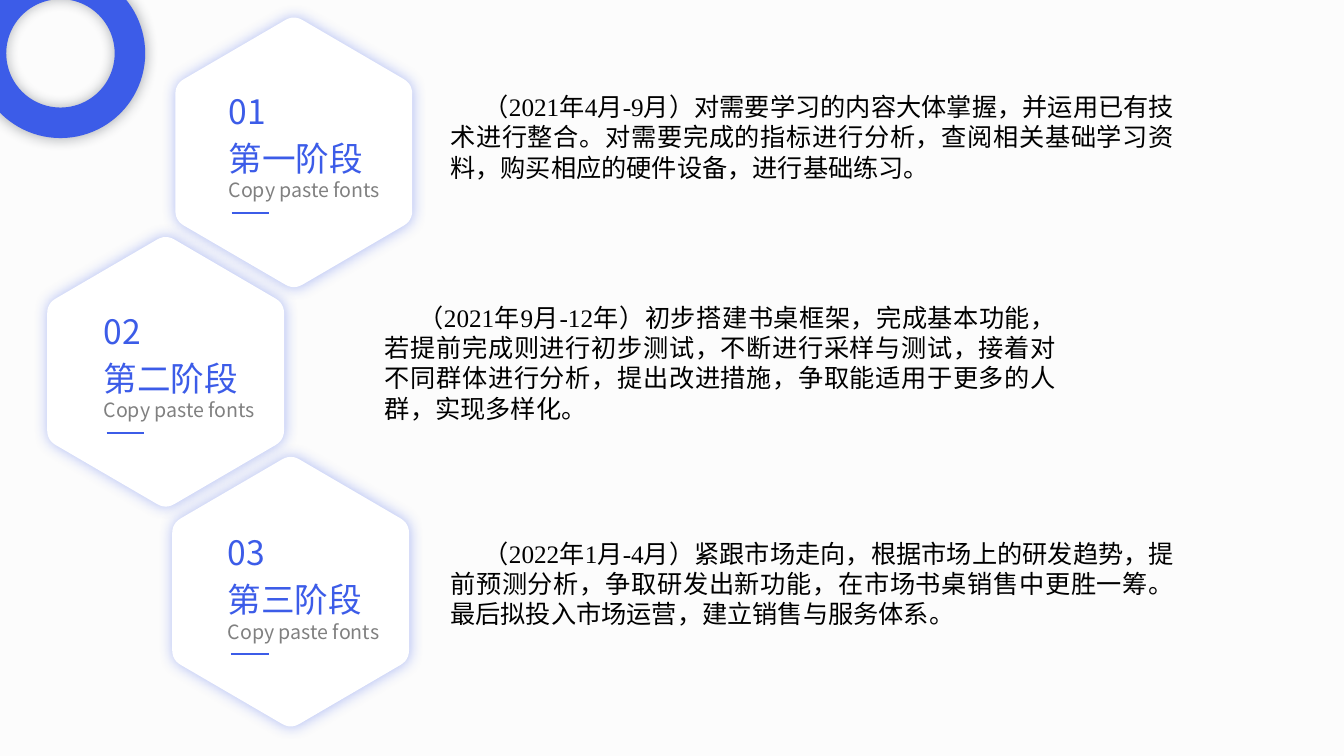
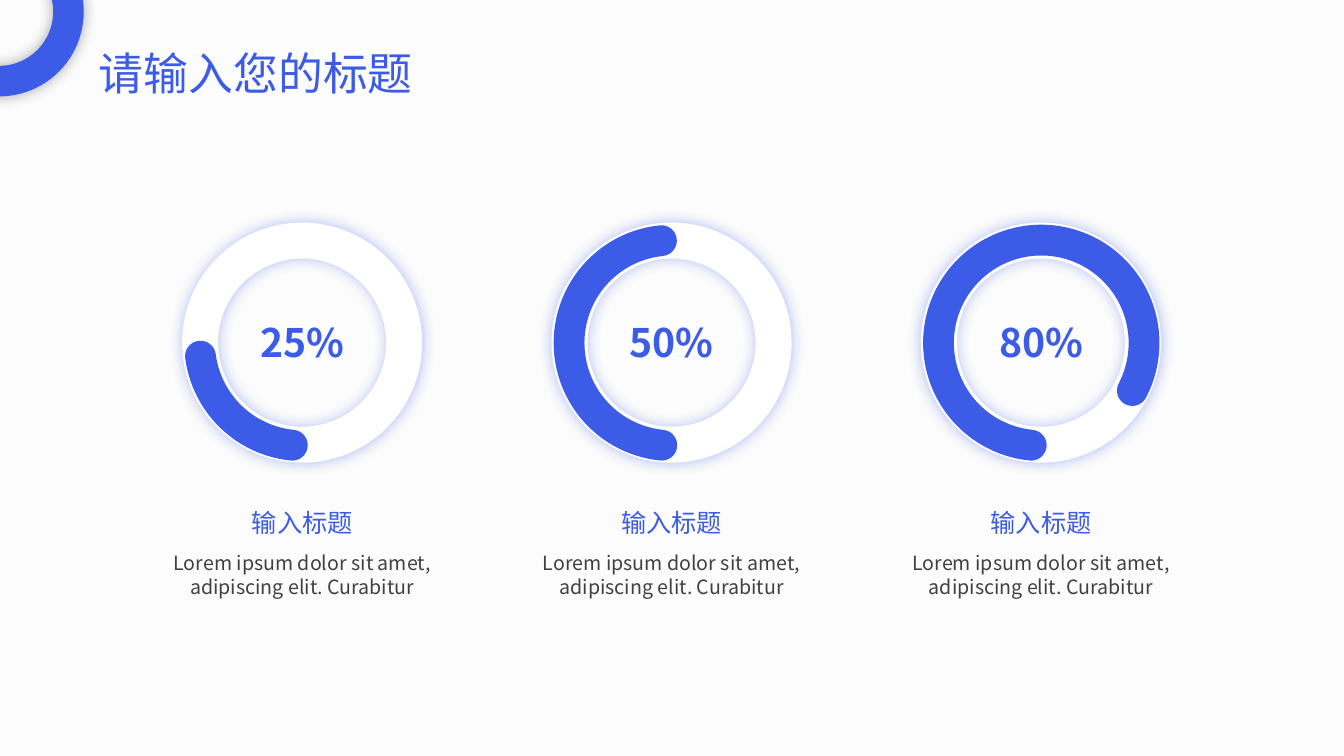
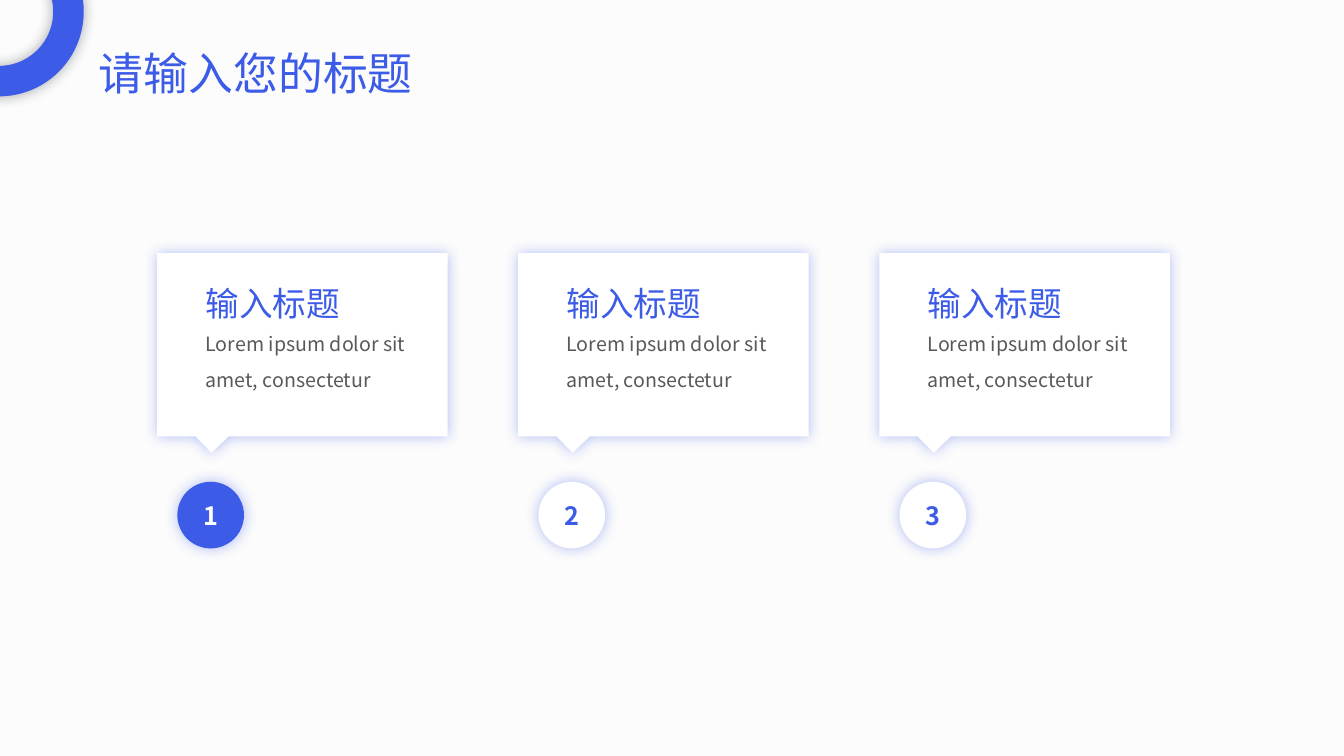
from dataclasses import dataclass

from lxml import etree
from pptx import Presentation
from pptx import util as u
from pptx.dml import color
from pptx.enum import shapes, text
from pptx.oxml import ns

Cm, Pt = u.Cm, u.Pt
SHAPE, ALIGN, ANCHOR = shapes.MSO_SHAPE, text.PP_ALIGN, text.MSO_ANCHOR

# Shared style
BLUE, WHITE, PAPER, SHADE = "3C5CE8", "FFFFFF", "FCFCFC", "222A35"
BLACK, DARK, SLATE, GREY = "000000", "404040", "595959", "808080"
SANS, SERIF = "Noto Sans CJK SC", "Times New Roman"
TITLE = "请输入您的标题"
LABEL = "输入标题"
RING = 4.27


@dataclass
class Style:
    size: float
    colour: str = BLUE
    font: str = SANS
    bold: bool = False
    align: ALIGN = ALIGN.LEFT


@dataclass
class Stage:
    number: str
    name: str
    hexagon: tuple[float, float]
    label: tuple[float, float]
    plan: str
    plan_box: tuple[float, float, float, float]


@dataclass
class Gauge:
    percent: str
    end: float


def rgb(value: str) -> color.RGBColor:
    return color.RGBColor.from_string(value)


def sub(parent, tag: str, **attributes: str):
    return etree.SubElement(parent, ns.qn(tag), attributes)


def paint(sp, fill: str, glow: str = BLUE) -> None:
    """Fill a shape without outline and give it a soft, centred shadow."""
    sp.fill.solid()
    sp.fill.fore_color.rgb = rgb(fill)
    sp.line.fill.background()
    sp.shadow.inherit = False
    effects = sp._element.spPr.find(ns.qn("a:effectLst"))
    shadow = sub(effects, "a:outerShdw", blurRad=str(Pt(10)), dist="0",
                 dir="0", algn="ctr", rotWithShape="0")
    sub(sub(shadow, "a:srgbClr", val=glow), "a:alpha", val="40000")


def add_shape(s, kind: SHAPE, left: float, top: float, size: float):
    return s.shapes.add_shape(kind, Cm(left), Cm(top), Cm(size), Cm(size))


def add_outline(s, left: float, top: float, points: list):
    corners = [(Cm(left + x), Cm(top + y)) for x, y in points]
    builder = s.shapes.build_freeform(*corners[0])
    builder.add_line_segments(corners[1:], close=True)
    return builder.convert_to_shape()


def write(tf, lines: list[str], style: Style) -> None:
    tf.word_wrap = True
    for i, line in enumerate(lines):
        p = tf.add_paragraph() if i else tf.paragraphs[0]
        p.text = line
        p.alignment = style.align
        p.font.size, p.font.bold = Pt(style.size), style.bold
        p.font.name = style.font
        p.font.color.rgb = rgb(style.colour)
        sub(p.font._element, "a:ea", typeface=SANS)


def add_text(s, box: tuple, lines: list[str], style: Style):
    tf = s.shapes.add_textbox(*map(Cm, box)).text_frame
    write(tf, lines, style)
    return tf


def add_ring(s, left: float, top: float) -> None:
    ring = add_shape(s, SHAPE.DONUT, left, top, RING)
    ring.adjustments[0] = 0.18
    paint(ring, BLUE, SHADE)


def titled_slide(prs):
    s = prs.slides.add_slide(prs.slide_layouts[5])
    add_ring(s, -2.16, -1.84)
    title = s.shapes.title
    title.left, title.top, title.width, title.height = map(Cm, (2.24, 1.02, 11.73, 1.63))
    tf = title.text_frame
    tf.auto_size, tf.vertical_anchor = text.MSO_AUTO_SIZE.NONE, ANCHOR.TOP
    write(tf, [TITLE], Style(32))
    return s


def rounded(vertices: list, radius: float, steps: int = 6) -> list:
    """Replace each corner of a polygon by a short quadratic curve."""
    points = []
    for i, (x, y) in enumerate(vertices):
        ends = []
        for nx, ny in (vertices[i - 1], vertices[(i + 1) % len(vertices)]):
            k = radius / ((nx - x) ** 2 + (ny - y) ** 2) ** 0.5
            ends.append((x + k * (nx - x), y + k * (ny - y)))
        (ax, ay), (bx, by) = ends
        for step in range(steps + 1):
            t = step / steps
            a, c, b = (1 - t) ** 2, 2 * t * (1 - t), t ** 2
            points.append((a * ax + c * x + b * bx, a * ay + c * y + b * by))
    return points


HEXAGON = rounded([(2.99, -0.08), (5.97, 1.66), (5.97, 5.1),
                   (2.99, 6.84), (0, 5.1), (0, 1.66)], 0.25)
CARD = [(0, 0), (7.32, 0), (7.32, 4.62), (1.8, 4.62),
        (1.37, 5.03), (0.97, 4.62), (0, 4.62)]

STAGES = [
    Stage("01", "第一阶段", (4.42, 0.46), (5.51, 2.16),
          "（2021年4月-9月）对需要学习的内容大体掌握，并运用已有技术进行整合。"
          "对需要完成的指标进行分析，查阅相关基础学习资料，购买相应的硬件设备，"
          "进行基础练习。", (11.1, 2.18, 18.75, 2.6)),
    Stage("02", "第二阶段", (1.19, 5.99), (2.36, 7.7),
          "（2021年9月-12年）初步搭建书桌框架，完成基本功能，若提前完成则进行初步测试，"
          "不断进行采样与测试，接着对不同群体进行分析，提出改进措施，"
          "争取能适用于更多的人群，实现多样化。", (9.45, 7.49, 17.42, 3.33)),
    Stage("03", "第三阶段", (4.34, 11.53), (5.49, 13.28),
          "（2022年1月-4月）紧跟市场走向，根据市场上的研发趋势，提前预测分析，"
          "争取研发出新功能，在市场书桌销售中更胜一筹。最后拟投入市场运营，"
          "建立销售与服务体系。", (11.1, 13.44, 18.75, 2.6)),
]
GAUGES = [Gauge("25%", 352.6), Gauge("50%", 84.2), Gauge("80%", 207.6)]


def draw_stage(s, stage: Stage) -> None:
    paint(add_outline(s, *stage.hexagon, HEXAGON), WHITE)
    left, top = stage.label
    for line, dy, style in ((stage.number, 0, Style(24)),
                            (stage.name, 1.19, Style(24)),
                            ("Copy paste fonts", 2.21, Style(14, GREY))):
        add_text(s, (left, top + dy, 4.95, 1.27), [line], style)
    y = Cm(top + 3.2)
    rule = s.shapes.add_connector(shapes.MSO_CONNECTOR.STRAIGHT,
                                  Cm(left + 0.33), y, Cm(left + 1.28), y)
    rule.line.color.rgb, rule.line.width = rgb(BLUE), Pt(1.5)
    sub(rule._element.spPr, "a:effectLst")
    tf = add_text(s, stage.plan_box, [stage.plan],
                  Style(18, BLACK, SERIF, align=ALIGN.JUSTIFY))
    tf.paragraphs[0]._p.get_or_add_pPr().set("indent", str(Cm(0.84)))


def draw_gauge(s, gauge: Gauge, centre: float) -> None:
    track = add_shape(s, SHAPE.DONUT, centre - 3.03, 5.61, 6.05)
    track.adjustments[0] = 0.15
    paint(track, WHITE)
    arc = add_shape(s, SHAPE.ARC, centre - 2.59, 6.05, 5.18)
    arc.rotation = 180
    for i, degrees in enumerate((275.6, gauge.end)):
        arc.adjustments[i] = degrees * 0.6
    arc.fill.background()
    arc.line.color.rgb, arc.line.width = rgb(BLUE), Pt(22)
    arc.line._get_or_add_ln().set("cap", "rnd")
    arc.shadow.inherit = False
    for lines, top, style in (
            ([gauge.percent], 7.9, Style(28, bold=True, align=ALIGN.CENTER)),
            ([LABEL], 12.67, Style(18, align=ALIGN.CENTER)),
            (["Lorem ipsum dolor sit amet,", "adipiscing elit. Curabitur"],
             13.77, Style(14, DARK, align=ALIGN.CENTER))):
        add_text(s, (centre - 4.71, top, 9.42, 1.45), lines, style)


def draw_card(s, number: int, left: float) -> None:
    fill, ink = (BLUE, WHITE) if number == 1 else (WHITE, BLUE)
    badge = add_shape(s, SHAPE.OVAL, left + 0.51, 12.14, 1.68)
    paint(badge, fill)
    badge.text_frame.vertical_anchor = ANCHOR.MIDDLE
    write(badge.text_frame, [str(number)], Style(18, ink, bold=True, align=ALIGN.CENTER))
    paint(add_outline(s, left, 6.38, CARD), WHITE)
    heading = add_text(s, (left + 0.53, 6.78, 6.83, 1.7), [LABEL], Style(24))
    heading.vertical_anchor = ANCHOR.MIDDLE
    detail = add_text(s, (left + 0.53, 7.75, 7.19, 2.74),
                      ["Lorem ipsum dolor sit amet, consectetur"], Style(14, SLATE))
    detail.paragraphs[0].line_spacing = 1.5
    detail.paragraphs[0].space_before = Pt(2.8)
    for tf in (heading, detail):
        tf.margin_left = tf.margin_right = Cm(0.69)
        tf.margin_top = tf.margin_bottom = Cm(0.33)


prs = Presentation()
prs.slide_width, prs.slide_height = Cm(33.87), Cm(19.05)
paper = prs.slide_master.background.fill
paper.solid()
paper.fore_color.rgb = rgb(PAPER)

# Slide 1: project stages
s = prs.slides.add_slide(prs.slide_layouts[6])
add_ring(s, -0.61, -0.79)
for stage in STAGES:
    draw_stage(s, stage)

# Slide 2: progress gauges
s = titled_slide(prs)
for i, gauge in enumerate(GAUGES):
    draw_gauge(s, gauge, 7.62 + 9.31 * i)

# Slide 3: numbered cards
s = titled_slide(prs)
for i in range(3):
    draw_card(s, i + 1, 3.96 + 9.1 * i)

prs.save("out.pptx")
